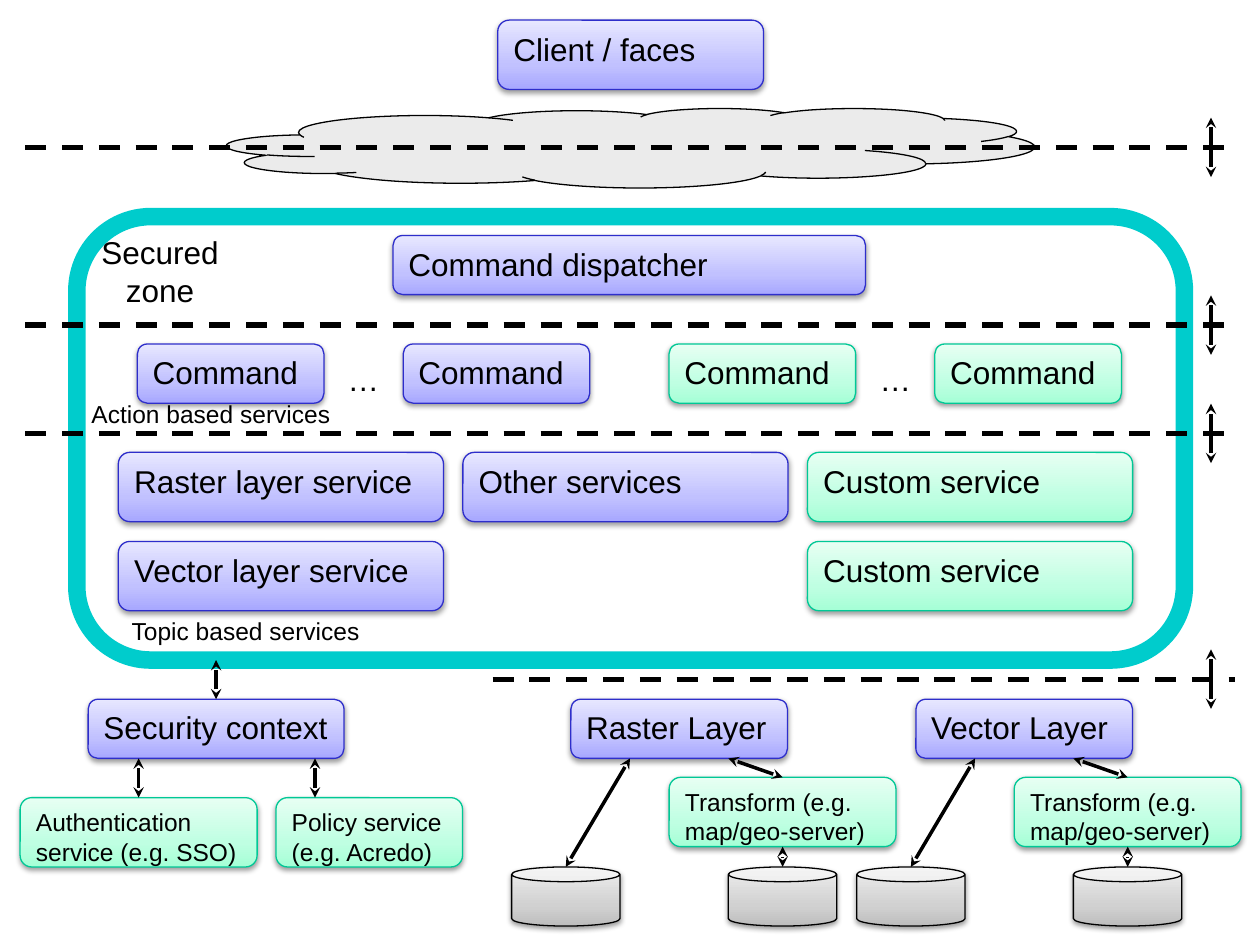
"""Build a layered service architecture slide."""
from dataclasses import dataclass

from lxml.etree import SubElement
from pptx import Presentation
from pptx.dml.color import RGBColor
from pptx.enum.dml import MSO_LINE
from pptx.enum.shapes import MSO_CONNECTOR, MSO_SHAPE
from pptx.enum.text import MSO_ANCHOR, MSO_AUTO_SIZE, PP_ALIGN
from pptx.oxml.ns import qn
from pptx.util import Pt


@dataclass(frozen=True)
class Theme:
    font: str = "Arial"
    large: int = 18
    small: int = 14
    ink: str = "000000"
    paper: str = "FFFFFF"
    frame: str = "00CCCC"
    cloud: str = "D9D9D9"
    core: tuple = ("2E2ECB", "A7A7FF", "C1C1FF", "E7E7FF")
    custom: tuple = ("00C896", "A5FFD6", "BFFFE2", "E7FFF3")
    store: tuple = ("000000", "BDBDBD", "D1D1D1", "EEEEEE")


THEME = Theme()
TOP, BOTTOM = 0, 2


def rgb(value):
    return RGBColor.from_string(value)


def add_child(parent, tag, **attrs):
    return SubElement(parent, qn(tag), {k: str(v) for k, v in attrs.items()})


def set_line(line, color, width):
    line.color.rgb = rgb(color)
    line.width = Pt(width)


def add_outline_shape(s, kind, box, color, width):
    sp = s.shapes.add_shape(kind, *map(Pt, box))
    sp.shadow.inherit = False
    set_line(sp.line, color, width)
    return sp


def add_gradient_shape(s, kind, box, palette):
    line_color, *stops = palette
    sp = add_outline_shape(s, kind, box, line_color, 0.75)
    sp.fill.gradient()
    sp.fill.gradient_angle = 90
    spPr = sp._element.spPr
    gs_list = spPr.find(qn("a:gradFill")).find(qn("a:gsLst"))
    for gs in list(gs_list):
        gs_list.remove(gs)
    for pos, color in zip((0, 35000, 100000), stops):
        add_child(add_child(gs_list, "a:gs", pos=pos), "a:srgbClr", val=color)
    shadow = add_child(spPr.find(qn("a:effectLst")), "a:outerShdw", blurRad=Pt(3.1),
                       dist=Pt(1.6), dir=5400000, rotWithShape=0)
    add_child(add_child(shadow, "a:srgbClr", val=THEME.ink), "a:alpha", val=38000)
    return sp


def write(tf, lines, size, align):
    for i, text in enumerate(lines):
        p = tf.add_paragraph() if i else tf.paragraphs[0]
        p.text = text
        p.alignment = align
        p.font.name = THEME.font
        p.font.size = Pt(size)
        p.font.color.rgb = rgb(THEME.ink)


def add_box(s, text, box, palette=THEME.core, size=THEME.large):
    sp = add_gradient_shape(s, MSO_SHAPE.ROUNDED_RECTANGLE, box, palette)
    tf = sp.text_frame
    tf.word_wrap = True
    tf.vertical_anchor = MSO_ANCHOR.TOP
    write(tf, [text], size, PP_ALIGN.LEFT)
    return sp


def add_label(s, lines, box, size=THEME.large):
    tf = s.shapes.add_textbox(*map(Pt, box)).text_frame
    tf.word_wrap = False
    tf.auto_size = MSO_AUTO_SIZE.SHAPE_TO_FIT_TEXT
    write(tf, lines, size, PP_ALIGN.CENTER)


def add_line(s, start, end, width):
    line = s.shapes.add_connector(MSO_CONNECTOR.STRAIGHT, *map(Pt, (*start, *end)))
    set_line(line.line, THEME.ink, width)
    add_child(line._element.spPr, "a:effectLst")
    return line


def add_arrow(s, start, end):
    arrow = add_line(s, start, end, 2)
    ln = arrow.line._get_or_add_ln()
    for tag in ("a:headEnd", "a:tailEnd"):
        add_child(ln, tag, type="stealth")
    return arrow


def add_divider(s, y, left=14.4):
    add_line(s, (left, y), (705.6, y), 3).line.dash_style = MSO_LINE.DASH
    add_arrow(s, (692, y + 17), (692, y - 17))


def add_frame(s):
    sp = add_outline_shape(s, MSO_SHAPE.ROUNDED_RECTANGLE, (43.9, 123.8, 632.9, 253.4),
                           THEME.frame, 10)
    sp.fill.solid()
    sp.fill.fore_color.rgb = rgb(THEME.paper)


def add_cloud(s):
    sp = add_outline_shape(s, MSO_SHAPE.CLOUD, (129.6, 61.9, 461.5, 45.4), THEME.ink, 0.75)
    sp.fill.solid()
    sp.fill.fore_color.rgb = rgb(THEME.cloud)
    color = sp._element.spPr.find(qn("a:solidFill"))[0]
    add_child(color, "a:alpha", val=50000)


def add_commands(s):
    for i, palette in enumerate((THEME.core, THEME.core, THEME.custom, THEME.custom)):
        add_box(s, "Command", (78.5 + 151.9 * i, 196.6, 106.6, 33.8), palette)
    for x in (191.5, 495.4):
        add_label(s, ["…"], (x, 202.3, 32.4, 28.8))


def add_services(s):
    services = (
        ("Raster layer service", 0, 0, THEME.core),
        ("Other services", 1, 0, THEME.core),
        ("Custom service", 2, 0, THEME.custom),
        ("Vector layer service", 0, 1, THEME.core),
        ("Custom service", 2, 1, THEME.custom),
    )
    for text, col, row, palette in services:
        add_box(s, text, (67.6 + 196.9 * col, 258.5 + 50.9 * row, 185.8, 39.6), palette)


def add_layer(s, text, x):
    add_box(s, text, (x, 399.6, 123.8, 33.8))
    transform = add_box(s, "Transform (e.g. map/geo-server)", (x + 56.2, 444.2, 129.6, 39.6),
                        THEME.custom, THEME.small)
    for left in (x - 33.8, x + 90):
        add_gradient_shape(s, MSO_SHAPE.CAN, (left, 495.4, 61.9, 33.8), THEME.store)
    add_arrow(s, (x - 2.9, 495.4), (x + 33.8, 433.4))
    add_arrow(s, (x + 121, 444.2), (x + 90, 433.4)).begin_connect(transform, TOP)
    add_arrow(s, (x + 121, 495.4), (x + 121, 483.8)).end_connect(transform, BOTTOM)


def add_security(s):
    context = add_box(s, "Security context", (50.4, 399.6, 146.2, 33.8))
    sign_on = add_box(s, "Authentication service (e.g. SSO)", (11.5, 455.8, 135.4, 39.6),
                      THEME.custom, THEME.small)
    add_box(s, "Policy service (e.g. Acredo)", (157.7, 455.8, 106.6, 39.6),
            THEME.custom, THEME.small)
    add_arrow(s, (123.5, 399.6), (123.5, 377.2)).begin_connect(context, TOP)
    add_arrow(s, (79.2, 433.4), (79.2, 455.8)).end_connect(sign_on, TOP)
    add_arrow(s, (180, 433.4), (180, 455.8))


def main():
    prs = Presentation()
    prs.slide_width, prs.slide_height = Pt(720), Pt(540)
    s = prs.slides.add_slide(prs.slide_layouts[6])
    add_frame(s)
    add_cloud(s)
    add_label(s, ["Secured", "zone"], (50.4, 129.6, 82.1, 51.1))
    add_box(s, "Client / faces", (284.4, 11.5, 151.9, 39.6))
    add_box(s, "Command dispatcher", (224.6, 134.6, 270, 33.8))
    add_commands(s)
    for y in (84.2, 185.8, 247.7):
        add_divider(s, y)
    add_divider(s, 388.1, left=281.5)
    add_label(s, ["Action based services"], (44.6, 224.6, 151.9, 24.5), THEME.small)
    add_label(s, ["Topic based services"], (67.7, 348.5, 145.4, 24.5), THEME.small)
    add_services(s)
    add_security(s)
    add_layer(s, "Raster Layer", 326.2)
    add_layer(s, "Vector Layer", 523.4)
    prs.save("out.pptx")


if __name__ == "__main__":
    main()
